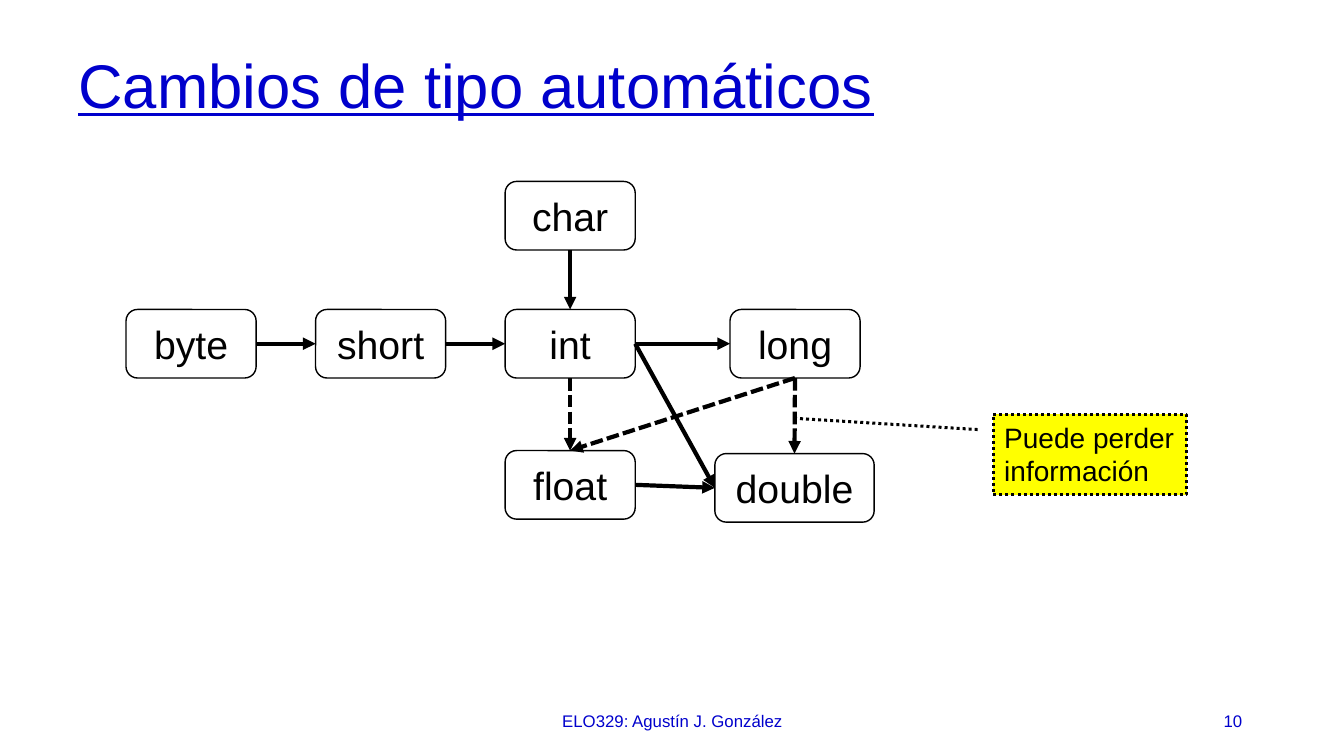
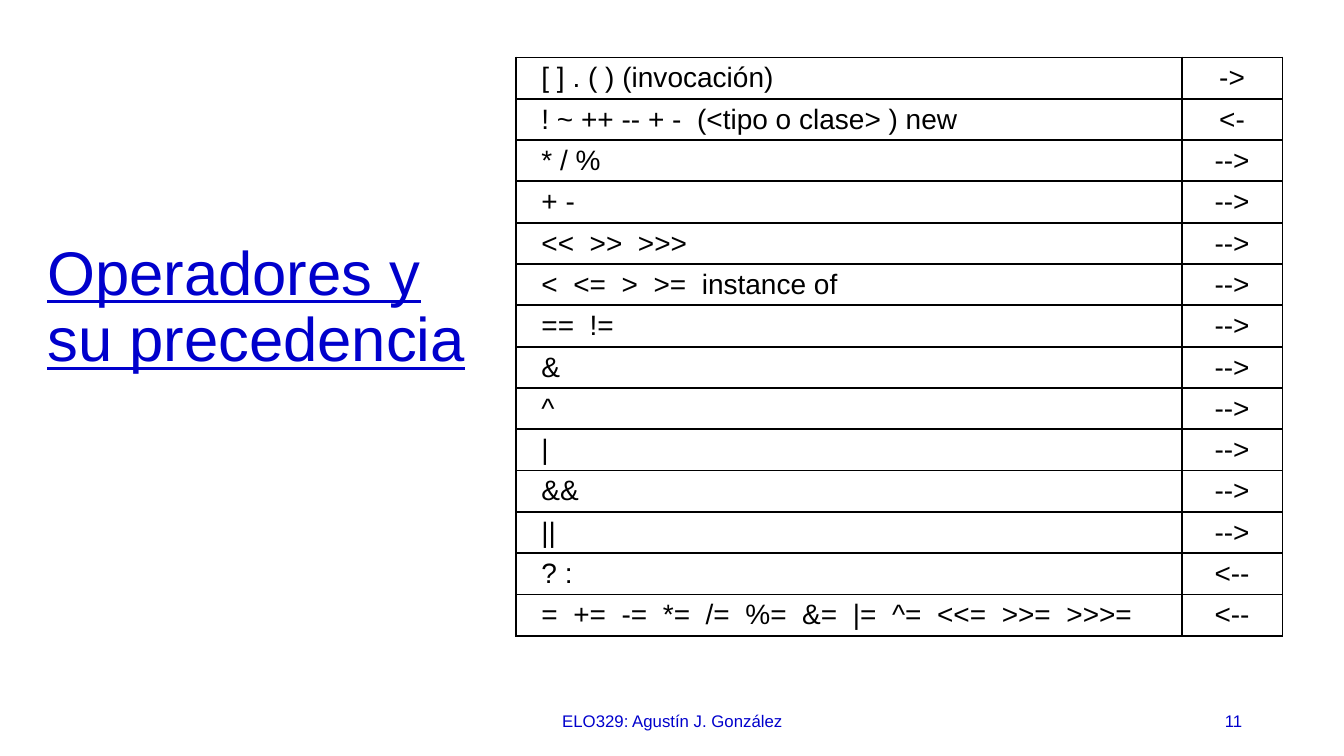
import lxml.etree
import pptx
import pptx.dml.color
import pptx.enum.dml
import pptx.enum.shapes
import pptx.enum.text
import pptx.oxml.ns
import pptx.util

Inches = pptx.util.Inches
Pt = pptx.util.Pt
RGBColor = pptx.dml.color.RGBColor
Align = pptx.enum.text.PP_ALIGN
Anchor = pptx.enum.text.MSO_ANCHOR
Shape = pptx.enum.shapes.MSO_SHAPE
DASH = pptx.enum.dml.MSO_LINE.SQUARE_DOT
DOT = pptx.enum.dml.MSO_LINE.ROUND_DOT
qn = pptx.oxml.ns.qn

# Shared style
BLUE = RGBColor(0x00, 0x00, 0xCC)
BLACK = RGBColor(0x00, 0x00, 0x00)
WHITE = RGBColor(0xFF, 0xFF, 0xFF)
YELLOW = RGBColor(0xFF, 0xFF, 0x00)
FONT = "Arial"
FOOTER = "ELO329: Agustín J. González"

# Type boxes: name -> left, top, width
BOX_TALL = 0.68
TYPES = {
    "byte": (1.25, 3.07, 1.29),
    "short": (3.13, 3.07, 1.29),
    "int": (5.01, 3.07, 1.29),
    "char": (5.01, 1.8, 1.29),
    "long": (7.24, 3.07, 1.29),
    "float": (5.01, 4.47, 1.29),
    "double": (7.09, 4.5, 1.58),
}

# Connection sites of a box
TOP, LEFT, BOTTOM, RIGHT = range(4)

# Arrows: from, site, to, site, dashed when data may be lost
ARROWS = [
    ("byte", RIGHT, "short", LEFT, False),
    ("short", RIGHT, "int", LEFT, False),
    ("char", BOTTOM, "int", TOP, False),
    ("int", RIGHT, "double", LEFT, False),
    ("float", RIGHT, "double", LEFT, False),
    ("int", RIGHT, "long", LEFT, False),
    ("long", BOTTOM, "double", TOP, True),
    ("int", BOTTOM, "float", TOP, True),
    ("long", BOTTOM, "float", TOP, True),
]

# Operators and the direction in which they group
RANKS = [
    ("[ ] . ( ) (invocación)", "->"),
    ("! ~ ++ -- + -  (<tipo o clase> ) new", "<-"),
    ("* / %", "-->"),
    ("+ -", "-->"),
    ("<<  >>  >>>", "-->"),
    ("<  <=  >  >=  instance of", "-->"),
    ("==  !=", "-->"),
    ("&", "-->"),
    ("^", "-->"),
    ("|", "-->"),
    ("&&", "-->"),
    ("||", "-->"),
    ("? :", "<--"),
    ("=  +=  -=  *=  /=  %=  &=  |=  ^=  <<=  >>=  >>>=", "<--"),
]


def write(frame, text, size, color=BLACK, align=Align.LEFT):
    """Set the text of a frame and format it."""
    frame.text = text
    for para in frame.paragraphs:
        para.alignment = align
        for run in para.runs:
            run.font.name = FONT
            run.font.size = Pt(size)
            run.font.color.rgb = color


def add_text(slide, spot, text, size, align=Align.LEFT):
    box = slide.shapes.add_textbox(*map(Inches, spot))
    frame = box.text_frame
    frame.word_wrap = True
    frame.vertical_anchor = Anchor.MIDDLE
    write(frame, text, size, BLUE, align)
    return frame


def add_slide(deck, title, spot, number):
    """Add a slide with its title, footer and number."""
    slide = deck.slides.add_slide(deck.slide_layouts[6])
    para = add_text(slide, spot, title, 44).paragraphs[0]
    para.line_spacing = 0.9
    para.runs[0].font.underline = True
    add_text(slide, (4.42, 6.95, 4.5, 0.4), FOOTER, 12, Align.CENTER)
    add_text(slide, (9.42, 6.95, 3, 0.4), str(number), 12, Align.RIGHT)
    return slide


def add_block(slide, kind, spot, fill, weight):
    block = slide.shapes.add_shape(kind, *map(Inches, spot))
    block.shadow.inherit = False
    block.fill.solid()
    block.fill.fore_color.rgb = fill
    block.line.color.rgb = BLACK
    block.line.width = Pt(weight)
    block.text_frame.word_wrap = True
    return block


def add_type(slide, name):
    left, top, width = TYPES[name]
    spot = (left, top, width, BOX_TALL)
    block = add_block(slide, Shape.ROUNDED_RECTANGLE, spot, WHITE, 1)
    block.text_frame.vertical_anchor = Anchor.MIDDLE
    write(block.text_frame, name, 28, align=Align.CENTER)
    return block


def add_note(slide, spot, text):
    """Add a dotted callout whose leader points at the lossy arrows."""
    note = add_block(slide, Shape.LINE_CALLOUT_1, spot, YELLOW, 2.15)
    note.line.dash_style = DOT
    for i, ratio in enumerate((0.19, -0.08, 0.05, -1.03)):
        note.adjustments[i] = ratio
    frame = note.text_frame
    frame.vertical_anchor = Anchor.TOP
    frame.margin_left = frame.margin_right = Inches(0.11)
    frame.margin_top = frame.margin_bottom = Inches(0.06)
    write(frame, text, 20)


def add_arrow(slide, start, out, end, into, dashed):
    straight = pptx.enum.shapes.MSO_CONNECTOR.STRAIGHT
    arrow = slide.shapes.add_connector(straight, 0, 0, 0, 0)
    arrow.begin_connect(start, out)
    arrow.end_connect(end, into)
    arrow.line.color.rgb = BLACK
    arrow.line.width = Pt(3)
    if dashed:
        arrow.line.dash_style = DASH
    props = arrow._element.spPr
    lxml.etree.SubElement(props.find(qn("a:ln")), qn("a:tailEnd"), type="triangle")
    lxml.etree.SubElement(props, qn("a:effectLst"))


def add_edges(cell):
    """Draw a black border on each side of a cell."""
    props = cell._tc.get_or_add_tcPr()
    for side in ("a:lnL", "a:lnR", "a:lnT", "a:lnB"):
        line = lxml.etree.SubElement(props, qn(side), w=str(Pt(1.5)))
        fill = lxml.etree.SubElement(line, qn("a:solidFill"))
        lxml.etree.SubElement(fill, qn("a:srgbClr"), val=str(BLACK))


def add_grid(slide, left, top, widths, tall, rows):
    spot = (left, top, sum(widths), tall * len(rows))
    frame = slide.shapes.add_table(len(rows), len(widths), *map(Inches, spot))
    table = frame.table
    table.first_row = table.horz_banding = False
    for column, width in zip(table.columns, widths):
        column.width = Inches(width)
    for row, texts in zip(table.rows, rows):
        row.height = Inches(tall)
        for i, (cell, text) in enumerate(zip(row.cells, texts)):
            add_edges(cell)
            cell.fill.solid()
            cell.fill.fore_color.rgb = WHITE
            cell.margin_left = Inches(0.1 if i else 0.25)
            cell.margin_top = cell.margin_bottom = Inches(0.03)
            cell.vertical_anchor = Anchor.MIDDLE
            write(cell.text_frame, text, 20, align=Align.CENTER if i else Align.LEFT)


def main():
    deck = pptx.Presentation()
    deck.slide_width = Inches(13.33)
    deck.slide_height = Inches(7.5)

    # Type changes
    slide = add_slide(deck, "Cambios de tipo automáticos", (0.68, 0.4, 12.08, 0.95), 10)
    add_note(slide, (9.85, 4.11, 1.92, 0.8), "Puede perder información")
    blocks = {name: add_type(slide, name) for name in TYPES}
    for start, out, end, into, dashed in ARROWS:
        add_arrow(slide, blocks[start], out, blocks[end], into, dashed)

    # Operator ranks
    slide = add_slide(deck, "Operadores y su precedencia", (0.37, 1.88, 4.4, 2.36), 11)
    add_grid(slide, 5.12, 0.57, (6.6, 1), 0.41, RANKS)

    deck.save("out.pptx")


main()
